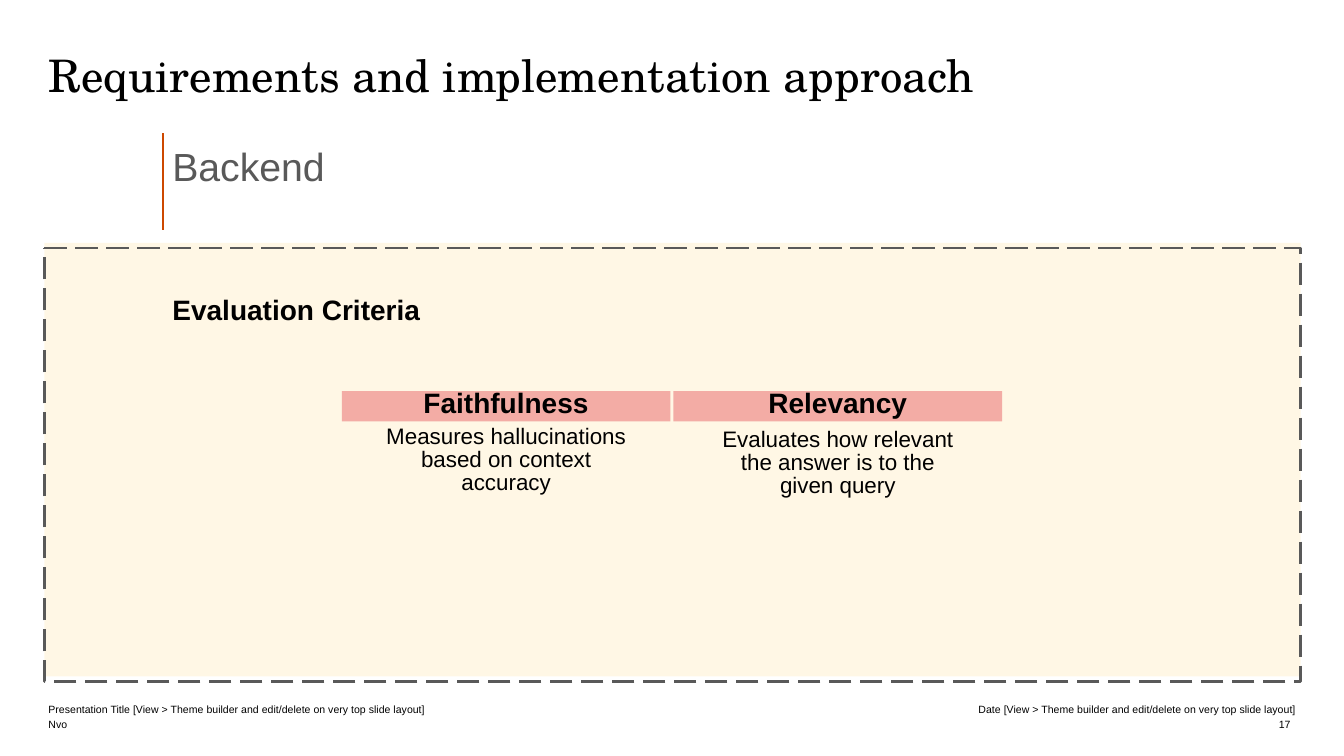
from lxml import etree
from pptx import Presentation
from pptx.dml.color import RGBColor
from pptx.enum.dml import MSO_LINE
from pptx.enum.shapes import MSO_CONNECTOR, MSO_SHAPE
from pptx.enum.text import MSO_ANCHOR, PP_ALIGN
from pptx.oxml.ns import qn
from pptx.util import Inches, Pt

BLACK = RGBColor(0x00, 0x00, 0x00)
GREY = RGBColor(0x59, 0x59, 0x59)
ORANGE = RGBColor(0xCD, 0x48, 0x00)
CREAM = RGBColor(0xFF, 0xF0, 0xCC)
PINK = RGBColor(0xF3, 0xAC, 0xA5)

LEFT, CENTER, RIGHT = PP_ALIGN.LEFT, PP_ALIGN.CENTER, PP_ALIGN.RIGHT
TOP, BOTTOM = MSO_ANCHOR.TOP, MSO_ANCHOR.BOTTOM
RECT, ROUNDED = MSO_SHAPE.RECTANGLE, MSO_SHAPE.ROUNDED_RECTANGLE
LONG_DASH = MSO_LINE.LONG_DASH

SLIDE_W, SLIDE_H = 13.33, 7.5
MARGIN = 0.48
INDENT = 1.71
LABEL_W, LABEL_H = 2.5, 0.52
CRITERIA = [  # heading, explanation, gap between them
    ("Faithfulness", "Measures hallucinations based on context accuracy", 0.05),
    ("Relevancy", "Evaluates how relevant the answer is to the given query", 0.08),
]


def inches(*lengths):
    return [Inches(v) for v in lengths]


def write(sp, text, size, color=BLACK, font="Arial", bold=False,
          align=LEFT, anchor=TOP, spacing=None):
    tf = sp.text_frame
    tf.text = text
    tf.word_wrap = True
    tf.vertical_anchor = anchor
    tf.margin_left = tf.margin_top = tf.margin_right = tf.margin_bottom = 0
    p = tf.paragraphs[0]
    p.alignment = align
    if spacing:
        p.line_spacing = spacing
        p.space_after = Pt(3)
    r = p.runs[0]
    r.font.name, r.font.size, r.font.bold = font, Pt(size), bold
    r.font.color.rgb = color


def add_text(s, box, text, size, **style):
    write(s.shapes.add_textbox(*inches(*box)), text, size, **style)


def add_box(s, preset, box, fill=None):
    sp = s.shapes.add_shape(preset, *inches(*box))
    sp.shadow.inherit = False
    sp.line.fill.background()
    if fill is None:
        sp.fill.background()
    else:
        sp.fill.solid()
        sp.fill.fore_color.rgb = fill
    return sp


def add_footer(s, top, row_h):
    left_w, right_w = 5.99, 3.86
    small = {"size": 7.5, "anchor": BOTTOM}
    add_text(s, (MARGIN, top + row_h, left_w, row_h), "Nvo", **small)
    add_text(s, (MARGIN, top, left_w, row_h),
             "Presentation Title [View > Theme builder and edit/delete on very top slide layout]",
             **small)
    add_text(s, (8.99, top, right_w, row_h),
             "Date [View > Theme builder and edit/delete on very top slide layout]",
             align=RIGHT, **small)
    add_text(s, (8.94, top + row_h, right_w, row_h), "17", align=RIGHT, **small)


def add_title(s, x, y, w, h):
    title = s.shapes.title
    title.left, title.top, title.width, title.height = inches(x, y, w, h)
    write(title, "Requirements and implementation approach", 32, font="TeX Gyre Schola")


def add_section_label(s, x, y, h):
    add_text(s, (x + 0.09, y + 0.16, LABEL_W, LABEL_H), "Backend", 28,
             color=GREY, spacing=0.85)
    rule = s.shapes.add_connector(MSO_CONNECTOR.STRAIGHT, *inches(x, y, x, y + h))
    rule.line.color.rgb = ORANGE
    rule.line.width = Pt(1.5)
    etree.SubElement(rule._element.spPr, qn("a:effectLst"))


def add_panel(s, x, y, w, h):
    """Draw the translucent panel and its dashed frame, set slightly lower."""
    panel = add_box(s, ROUNDED, (x, y, w, h), CREAM)
    panel.adjustments[0] = 0
    color = panel._element.spPr.find(".//" + qn("a:srgbClr"))
    etree.SubElement(color, qn("a:alpha"), val="50000")

    frame = add_box(s, ROUNDED, (x, y + 0.05, w, h))
    frame.adjustments[0] = 0
    frame.line.color.rgb = GREY
    frame.line.width = Pt(2)
    frame.line.dash_style = LONG_DASH


def add_criteria(s, x, y, col_w, head_h, gutter):
    add_text(s, (INDENT, y - 0.93, LABEL_W, LABEL_H), "Evaluation Criteria", 20,
             bold=True, spacing=0.85)
    for i, (heading, explanation, gap) in enumerate(CRITERIA):
        col_x = x + i * (col_w + gutter)
        head = add_box(s, RECT, (col_x, y, col_w, head_h), PINK)
        write(head, heading, 20, bold=True, align=CENTER, spacing=0.85)
        add_text(s, (col_x + (col_w - LABEL_W) / 2, y + head_h + gap, LABEL_W, 1.5),
                 explanation, 16, align=CENTER, spacing=0.85)


def main():
    prs = Presentation()
    prs.slide_width, prs.slide_height = inches(SLIDE_W, SLIDE_H)
    s = prs.slides.add_slide(prs.slide_layouts[5])
    add_footer(s, 6.95, 0.15)
    add_title(s, MARGIN, 0.47, 12.36, 0.55)
    add_section_label(s, 1.62, 1.32, 0.96)
    add_panel(s, 0.44, 2.41, 12.46, 4.3)
    add_criteria(s, 3.39, 3.88, 3.26, 0.3, 0.03)
    prs.save("out.pptx")


if __name__ == "__main__":
    main()
